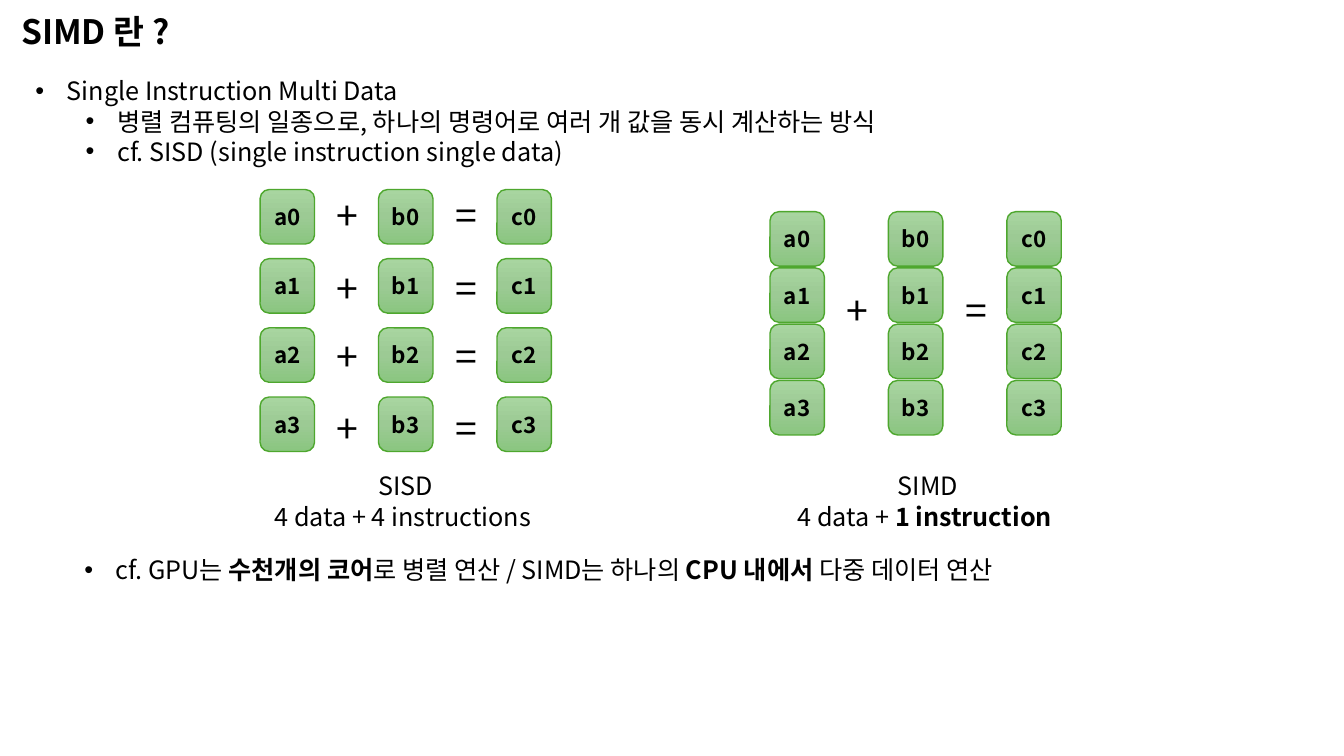
from copy import deepcopy

from pptx import Presentation
from pptx.dml.color import RGBColor
from pptx.enum.shapes import MSO_SHAPE as Shape
from pptx.enum.text import MSO_ANCHOR as Anchor, MSO_AUTO_SIZE as AutoSize, PP_ALIGN as Align
from pptx.oxml.ns import qn
from pptx.oxml.xmlchemy import OxmlElement
from pptx.util import Pt

FONT = "Noto Sans CJK KR"
GRADIENT = [(0, "A8D5A0"), (0.5, "9CCA94"), (1, "8AC680")]


def color(value):
    return RGBColor.from_string(value)


def write(shape, paragraphs, size, align=Align.LEFT, anchor=Anchor.TOP, indents=None):
    """Each paragraph is a list of (text, bold) runs; indents adds bullets."""
    frame = shape.text_frame
    frame_format = {"word_wrap": True, "auto_size": AutoSize.NONE, "vertical_anchor": anchor}
    for name, value in frame_format.items():
        setattr(frame, name, value)
    for index, runs in enumerate(paragraphs):
        paragraph = frame.add_paragraph() if index else frame.paragraphs[0]
        paragraph_format = {"alignment": align, "space_before": Pt(0), "space_after": Pt(0)}
        for name, value in paragraph_format.items():
            setattr(paragraph, name, value)
        if indents:
            paragraph.level = 1 if indents[index] > 50 else 0
            properties = paragraph._p.get_or_add_pPr()
            properties.set("marL", str(Pt(indents[index])))
            properties.set("indent", str(Pt(-22.5)))
            for tag, key, value in [("a:buFont", "typeface", "Arial"), ("a:buChar", "char", "•")]:
                bullet = OxmlElement(tag)
                bullet.set(key, value)
                properties.append(bullet)
        for text, bold in runs:
            run = paragraph.add_run()
            run.text = text
            for name, value in {"size": Pt(size), "name": FONT, "bold": bold}.items():
                setattr(run.font, name, value)
            run.font.color.rgb = color("000000")
            east_asian = OxmlElement("a:ea")
            east_asian.set("typeface", FONT)
            run.font._element.find(qn("a:latin")).addnext(east_asian)


presentation = Presentation()
presentation.slide_width, presentation.slide_height = Pt(960), Pt(540)
slide = presentation.slides.add_slide(presentation.slide_layouts[1])

# Title and list
title, body = slide.placeholders
for placeholder, box in [(title, (7.9, 4.3, 938, 36)), (body, (18, 50.4, 837.4, 72.7))]:
    placeholder.left, placeholder.top, placeholder.width, placeholder.height = map(Pt, box)
write(title, [[("SIMD 란 ?", True)]], 24)
write(body, [
    [("Single Instruction Multi Data", False)],
    [("병렬 컴퓨팅의 일종으로, 하나의 명령어로 여러 개 값을 동시 계산하는 방식", False)],
    [("cf. SISD (single instruction single data)", False)],
], 18, indents=[22.5, 58.5, 58.5])

# Diagrams: left, top, row step, tops of the operator signs
CELL, COLUMN_STEP = 38.9, 84.6
diagrams = [
    (185.8, 135.4, 49.4, [133.2, 185, 234, 285.1]),
    (550, 151.2, 40.2, [200.9]),
]
for left, top, row_step, sign_tops in diagrams:
    group = slide.shapes.add_group_shape()
    for column, letter in enumerate("abc"):
        for row in range(4):
            cell = group.shapes.add_shape(
                Shape.ROUNDED_RECTANGLE, Pt(left + column * COLUMN_STEP),
                Pt(top + row * row_step), Pt(CELL), Pt(CELL))
            cell.shadow.inherit = False
            cell.fill.gradient()
            cell.fill.gradient_angle = 270
            first_stop = cell._element.spPr.find(".//" + qn("a:gs"))
            first_stop.addnext(deepcopy(first_stop))
            for stop, (position, value) in zip(cell.fill.gradient_stops, GRADIENT):
                stop.position = position
                stop.color.rgb = color(value)
            cell.line.color.rgb = color("4EA72E")
            cell.line.width = Pt(1)
            write(cell, [[(f"{letter}{row}", True)]], 16, Align.CENTER, Anchor.MIDDLE)
    for column, sign in enumerate("+="):
        for sign_top in sign_tops:
            sign_box = group.shapes.add_textbox(
                Pt(left + 47.7 + column * COLUMN_STEP), Pt(sign_top), Pt(28.1), Pt(41))
            write(sign_box, [[(sign, False)]], 28, Align.CENTER)

# Captions
captions = [
    (177.1, [[("SISD", False)], [("4 data + 4 instructions ", False)]]),
    (550, [[("SIMD", False)], [("4 data + ", False), ("1 instruction ", True)]]),
]
for left, paragraphs in captions:
    caption = slide.shapes.add_textbox(Pt(left), Pt(332.6), Pt(225.4), Pt(51))
    write(caption, paragraphs, 18, Align.CENTER)

# Closing remark
remark = slide.shapes.add_textbox(Pt(53.3), Pt(392.4), Pt(837.4), Pt(29))
write(remark, [[
    ("cf. GPU는 ", False), ("수천개의 코어", True), ("로 병렬 연산 / SIMD는 하나의 ", False),
    ("CPU 내에서", True), (" 다중 데이터 연산", False),
]], 18, indents=[22.5])

presentation.save("out.pptx")
